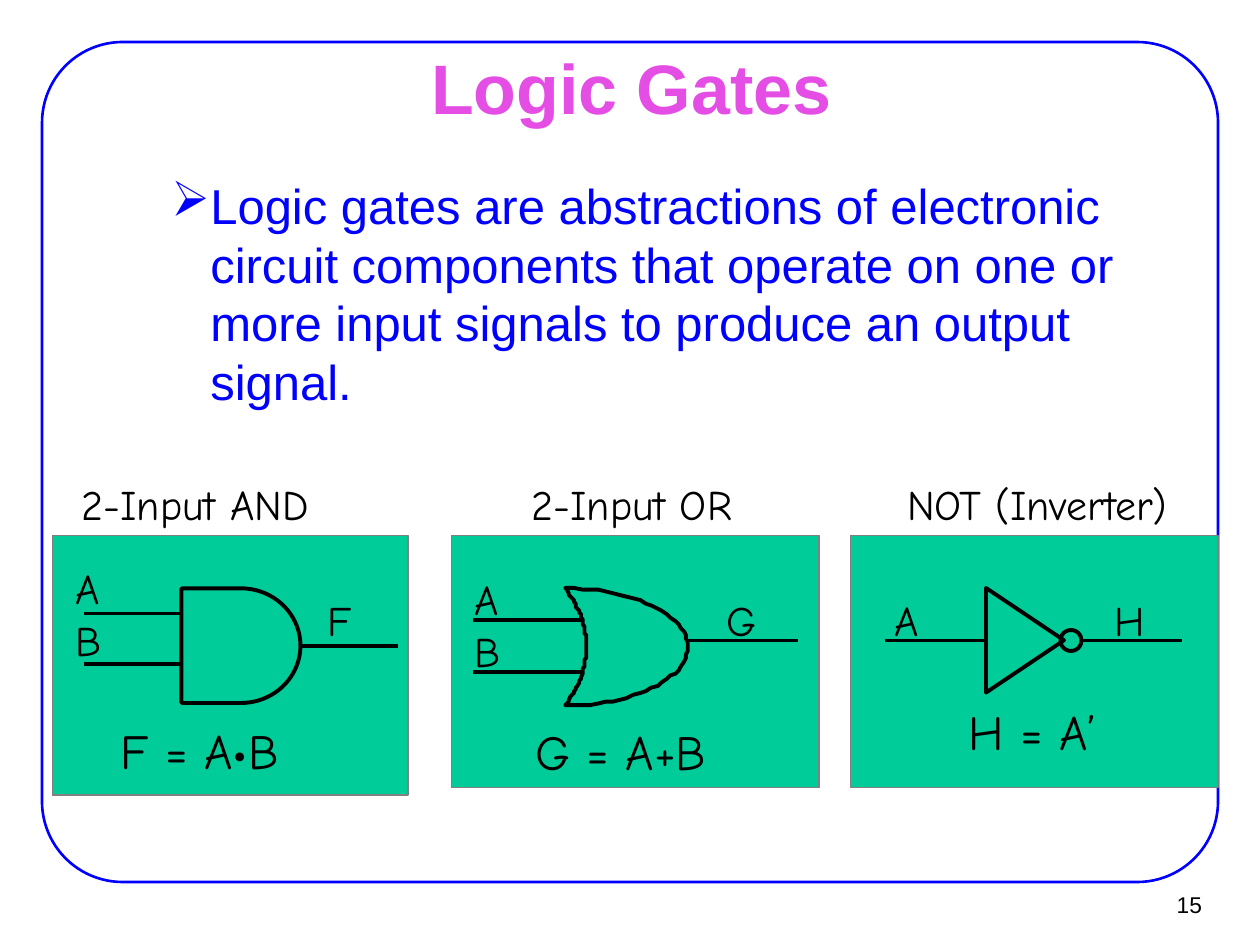
from lxml import etree
from pptx import Presentation
from pptx.dml.color import RGBColor
from pptx.enum.shapes import MSO_CONNECTOR, MSO_SHAPE
from pptx.enum.text import MSO_ANCHOR, MSO_AUTO_SIZE, PP_ALIGN
from pptx.oxml.ns import qn
from pptx.util import Pt

RECT, ROUND_RECT = MSO_SHAPE.RECTANGLE, MSO_SHAPE.ROUNDED_RECTANGLE
DELAY, TRIANGLE, OVAL = MSO_SHAPE.FLOWCHART_DELAY, MSO_SHAPE.ISOSCELES_TRIANGLE, MSO_SHAPE.OVAL
STRAIGHT = MSO_CONNECTOR.STRAIGHT
TOP, MIDDLE = MSO_ANCHOR.TOP, MSO_ANCHOR.MIDDLE
LEFT, CENTER, RIGHT = PP_ALIGN.LEFT, PP_ALIGN.CENTER, PP_ALIGN.RIGHT
BLACK, BLUE, PINK, GREEN, GREY = "000000", "0000FF", "E44EE4", "00CC99", "808080"


def rgb(value):
    return RGBColor.from_string(value)


def bezier(p0, p1, p2, p3, steps=24):
    """Points along a cubic curve, without its start."""
    for i in range(1, steps + 1):
        t = i / steps
        u = 1 - t
        yield tuple(u**3 * a + 3 * u * u * t * b + 3 * u * t * t * c + t**3 * d
                    for a, b, c, d in zip(p0, p1, p2, p3))


class GateSlide:
    font, hand = "Arial", "Comic Neue"
    wire_width = 2.25

    def __init__(self, prs):
        self.s = prs.slides.add_slide(prs.slide_layouts[5])
        self.shapes = self.s.shapes

    def group(self):
        """Send the elements that follow into a new group."""
        self.shapes = self.s.shapes.add_group_shape().shapes

    def style(self, sp, line, width, fill=None):
        sp.shadow.inherit = False
        if fill:
            sp.fill.solid()
            sp.fill.fore_color.rgb = rgb(fill)
        else:
            sp.fill.background()
        sp.line.color.rgb = rgb(line)
        sp.line.width = Pt(width)
        return sp

    def shape(self, kind, box, line=BLACK, width=wire_width, fill=None):
        sp = self.shapes.add_shape(kind, *map(Pt, box))
        return self.style(sp, line, width, fill)

    def outline(self, points):
        builder = self.shapes.build_freeform(*points[0], scale=Pt(1))
        builder.add_line_segments(points[1:], close=True)
        return self.style(builder.convert_to_shape(), BLACK, self.wire_width)

    def wire(self, x1, x2, y):
        sp = self.shapes.add_connector(STRAIGHT, Pt(x1), Pt(y), Pt(x2), Pt(y))
        sp.line.color.rgb = rgb(BLACK)
        sp.line.width = Pt(self.wire_width)
        etree.SubElement(sp._element.spPr, qn("a:effectLst"))

    def set_text(self, sp, box, text, size, color=BLACK, font=font, align=LEFT,
                 anchor=TOP, bold=False, margins=(7.2, 3.6)):
        sp.left, sp.top, sp.width, sp.height = map(Pt, box)
        tf = sp.text_frame
        tf.word_wrap = True
        tf.auto_size = MSO_AUTO_SIZE.NONE
        tf.vertical_anchor = anchor
        tf.margin_left = tf.margin_right = Pt(margins[0])
        tf.margin_top = tf.margin_bottom = Pt(margins[1])
        tf.text = text
        p = tf.paragraphs[0]
        p.alignment = align
        f = p.runs[0].font
        f.name, f.size, f.bold = font, Pt(size), bold
        f.color.rgb = rgb(color)
        return p

    def title(self, box, text):
        self.set_text(self.s.shapes.title, box, text, 40, PINK, align=CENTER,
                      anchor=MIDDLE, bold=True, margins=(7.9, 4.3))

    def text(self, box, text, size, **look):
        sp = self.shapes.add_textbox(*map(Pt, box))
        return self.set_text(sp, box, text, size, **look)

    def bullet(self, box, text):
        p = self.text(box, text, 28, color=BLUE, margins=(7.9, 4.3))
        p.space_before = Pt(7)
        pPr = p._p.get_or_add_pPr()
        pPr.set("marL", str(Pt(58.3)))
        pPr.set("indent", str(Pt(-22.3)))
        clr = etree.SubElement(pPr, qn("a:buClr"))
        etree.SubElement(clr, qn("a:srgbClr")).set("val", BLUE)
        etree.SubElement(pPr, qn("a:buChar")).set("char", "➢")

    def panel(self, box, heading, formula):
        """Start a gate: green panel, heading above it, formula inside it."""
        self.group()
        self.shape(RECT, box, GREY, 0.75, GREEN)
        for text, x, y, w, size in ((*heading, 190, 24), (*formula, 124, 28)):
            self.text((x, y, w, 1.45 * size), text, size, font=self.hand)

    def signals(self, *labels):
        for text, x, y in labels:
            self.text((x, y, 36, 36), text, 24, font=self.hand)


def main():
    prs = Presentation()
    prs.slide_width, prs.slide_height = Pt(720), Pt(540)
    g = GateSlide(prs)

    frame = g.shape(ROUND_RECT, (24, 24, 672, 480), BLUE, 1.5)
    frame.adjustments[0] = 0.096
    g.text((649.4, 503.3, 43.9, 26.6), "15", 13, align=RIGHT, anchor=MIDDLE,
           margins=(6.5, 3))
    g.title((54.7, 31.7, 612, 35.3), "Logic Gates")
    g.bullet((54, 95.8, 612, 365.8),
             "Logic gates are abstractions of electronic circuit components that "
             "operate on one or more input signals to produce an output signal.")

    g.panel((30.2, 306, 203, 148.3), ("2-Input AND", 39.6, 270), ("F = A•B", 62, 408.2))
    g.shape(DELAY, (103.7, 336.2, 68, 65.5))
    for x1, x2, y in ((48, 103.7, 350.6), (48, 103.7, 379.4), (172, 227.5, 369.4)):
        g.wire(x1, x2, y)
    g.signals(("A", 36, 318.2), ("B", 36, 347.8), ("F", 180, 336.2))

    g.panel((258, 306, 210, 144), (" 2-Input OR", 288.7, 270), ("G = A+B", 298.8, 409))
    top, bottom, back, nose = (323.3, 336.2), (323.3, 403.2), (334.8, 369.4), (393.1, 369.4)
    curves = (
        (top, (329, 346.3), (334.8, 352), back),
        (back, (334.8, 387.4), (329, 393.1), bottom),
        (bottom, (361.4, 403.2), (393.1, 388.1), nose),
        (nose, (393.1, 351.4), (361.4, 336.2), top),
    )
    g.outline([top] + [point for curve in curves for point in bezier(*curve)])
    for x1, x2, y in ((270, 332.6, 354.2), (270, 332.6, 384), (393.1, 455.8, 366)):
        g.wire(x1, x2, y)
    g.signals(("A", 264, 324), ("B", 264, 354), ("G", 408, 336))

    g.panel((486, 306, 210, 144), ("NOT (Inverter)", 511.2, 270), ("H = A’", 546.5, 397.4))
    g.shape(TRIANGLE, (555.8, 343.6, 59.8, 44.6)).rotation = 90
    g.shape(OVAL, (606, 360, 12, 12))
    for x1, x2 in ((506, 563.8), (618, 675.4)):
        g.wire(x1, x2, 366)
    g.signals(("A", 504, 336), ("H", 630, 336))

    prs.save("out.pptx")


if __name__ == "__main__":
    main()
